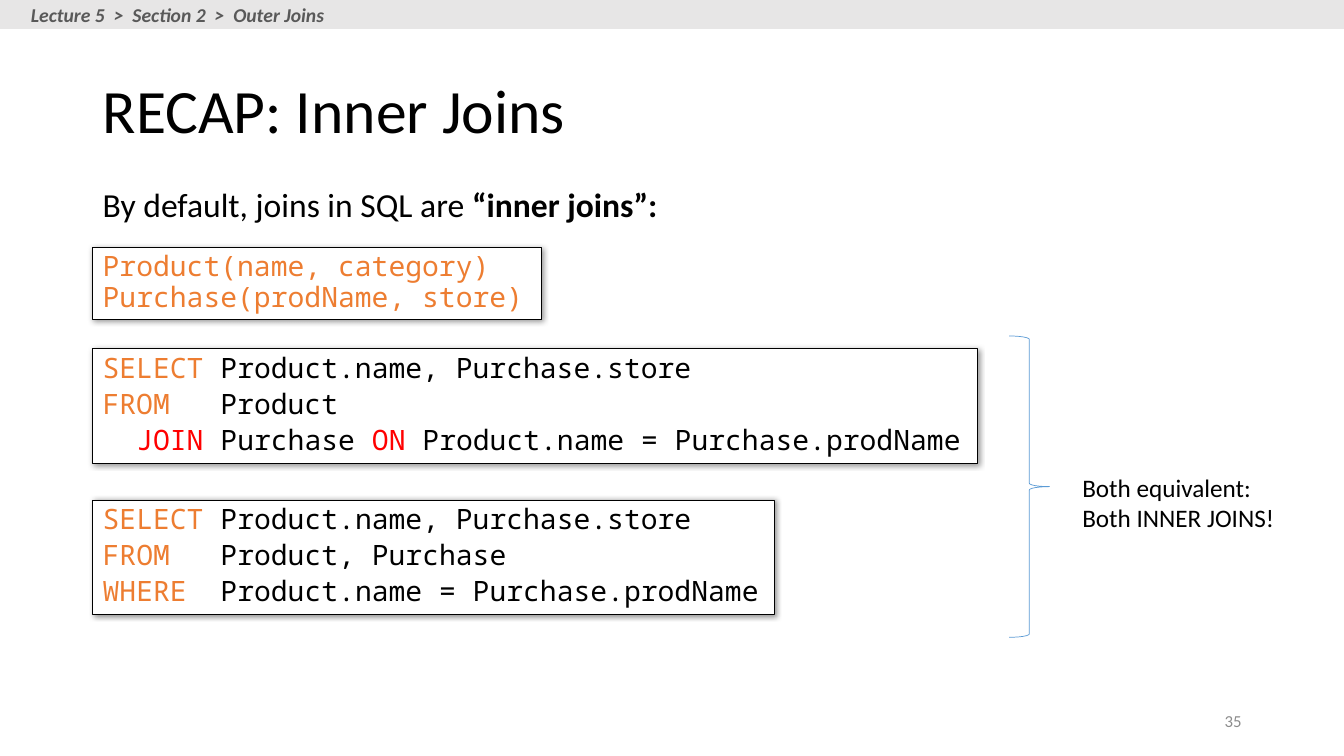
from lxml import etree
from pptx import Presentation
from pptx.dml.color import RGBColor
from pptx.enum import shapes, text
from pptx.oxml import ns
from pptx.util import Pt

BLACK = RGBColor(0, 0, 0)
WHITE = RGBColor(255, 255, 255)
ORANGE = RGBColor(0xED, 0x7D, 0x31)
RED = RGBColor(255, 0, 0)
BLUE = RGBColor(0x5B, 0x9B, 0xD5)
BAR_GRAY = RGBColor(0xE7, 0xE6, 0xE6)
TRAIL_GRAY = RGBColor(0x59, 0x59, 0x59)
NUMBER_GRAY = RGBColor(0x8C, 0x8C, 0x8C)

SANS, MONO = "Calibri", "Noto Sans Mono"
LEFT = 66.25
CODE_HEIGHT = 82

SCHEMA = [
    [("Product(name, category)", ORANGE)],
    [("Purchase(prodName, store)", ORANGE)],
]
EXPLICIT_JOIN = [
    [("SELECT ", ORANGE), ("Product.name, Purchase.store", BLACK)],
    [("FROM", ORANGE), ("   Product", BLACK)],
    [("  ", ORANGE), ("JOIN ", RED), ("Purchase ", BLACK), ("ON ", RED),
     ("Product.name = Purchase.prodName", BLACK)],
]
IMPLICIT_JOIN = [
    [("SELECT ", ORANGE), ("Product.name, Purchase.store", BLACK)],
    [("FROM   ", ORANGE), ("Product, Purchase", BLACK)],
    [("WHERE  ", ORANGE), ("Product.name = Purchase.prodName", BLACK)],
]


def write_lines(frame, lines, font, size, spacing=1.0, before=0):
    """Fill a text frame with lines made of (words, colour) spans."""
    for index, line in enumerate(lines):
        para = frame.paragraphs[0] if index == 0 else frame.add_paragraph()
        para.alignment = text.PP_ALIGN.LEFT
        para.line_spacing = spacing
        para.space_before = Pt(before)
        for words, color in line:
            span = para.add_run()
            span.text = words
            span.font.name = font
            span.font.size = Pt(size)
            span.font.color.rgb = color


def add_label(page, bounds, lines, size, color=BLACK, spacing=1.0, wrap=True,
              anchor=text.MSO_ANCHOR.TOP):
    """Add a text box of plain lines and return its paragraphs."""
    box = page.shapes.add_textbox(*map(Pt, bounds))
    frame = box.text_frame
    frame.word_wrap = wrap
    frame.vertical_anchor = anchor
    write_lines(frame, [[(line, color)] for line in lines], SANS, size, spacing)
    return frame.paragraphs


def add_outline(page, kind, bounds, fill=None, line=None, width=0.75):
    """Add a flat preset shape with an optional fill and line."""
    shape = page.shapes.add_shape(kind, *map(Pt, bounds))
    shape.shadow.inherit = False
    if fill is None:
        shape.fill.background()
    else:
        shape.fill.solid()
        shape.fill.fore_color.rgb = fill
    if line is None:
        shape.line.fill.background()
    else:
        shape.line.color.rgb = line
        shape.line.width = Pt(width)
    return shape


def add_shadow(shape):
    """Give a shape a soft shadow towards its lower right."""
    effects = shape._element.spPr.find(ns.qn("a:effectLst"))
    shadow = etree.SubElement(effects, ns.qn("a:outerShdw"), blurRad=str(Pt(4)),
                              dist=str(Pt(1)), dir="2700000", algn="tl", rotWithShape="0")
    color = etree.SubElement(shadow, ns.qn("a:srgbClr"), val=str(BLACK))
    etree.SubElement(color, ns.qn("a:alpha"), val="40000")


def add_code(page, bounds, lines, before=0, wrap=False):
    """Add a shadowed white box of coloured code."""
    box = add_outline(page, shapes.MSO_SHAPE.RECTANGLE, bounds, WHITE, BLACK)
    add_shadow(box)
    box.text_frame.word_wrap = wrap
    box.text_frame.vertical_anchor = text.MSO_ANCHOR.TOP
    write_lines(box.text_frame, lines, MONO, 20, 0.9, before)


def main():
    """Build the inner joins slide and save it."""
    deck = Presentation()
    deck.slide_width, deck.slide_height = Pt(960), Pt(540)
    page = deck.slides.add_slide(deck.slide_layouts[6])

    add_outline(page, shapes.MSO_SHAPE.RECTANGLE, (0, 0, 960, 20.75), BAR_GRAY)
    trail = add_label(page, (15, -1.5, 227.5, 24.25),
                      ["Lecture 5  >  Section 2  >  Outer Joins"], 14, TRAIL_GRAY, wrap=False)
    trail[0].runs[0].font.bold = True
    trail[0].runs[0].font.italic = True

    add_label(page, (LEFT, 28.75, 828, 104.5), ["RECAP: Inner Joins"], 44,
              spacing=0.9, anchor=text.MSO_ANCHOR.MIDDLE)
    intro = add_label(page, (LEFT, 131, 684, 40), ["By default, joins in SQL are "], 24,
                      spacing=0.9)
    term = intro[0].add_run()
    term.text = "“inner joins”:"
    term.font.name, term.font.size, term.font.bold = SANS, Pt(24), True
    term.font.color.rgb = BLACK

    add_code(page, (LEFT, 177, 320.5, 51), SCHEMA, wrap=True)
    add_code(page, (LEFT, 249.25, 632, CODE_HEIGHT), EXPLICIT_JOIN, before=4.25)
    add_code(page, (LEFT, 357.25, 487.25, CODE_HEIGHT), IMPLICIT_JOIN, before=4.25)

    add_outline(page, shapes.MSO_SHAPE.RIGHT_BRACE, (720.75, 240, 29, 215.25),
                line=BLUE, width=0.5)
    add_label(page, (766, 333.5, 153.25, 51), ["Both equivalent:", "Both INNER JOINS!"], 18,
              wrap=False)
    number = add_label(page, (678, 500.5, 216, 28.75), ["35"], 12, NUMBER_GRAY,
                       anchor=text.MSO_ANCHOR.MIDDLE)
    number[0].alignment = text.PP_ALIGN.RIGHT

    deck.save("out.pptx")


if __name__ == "__main__":
    main()
